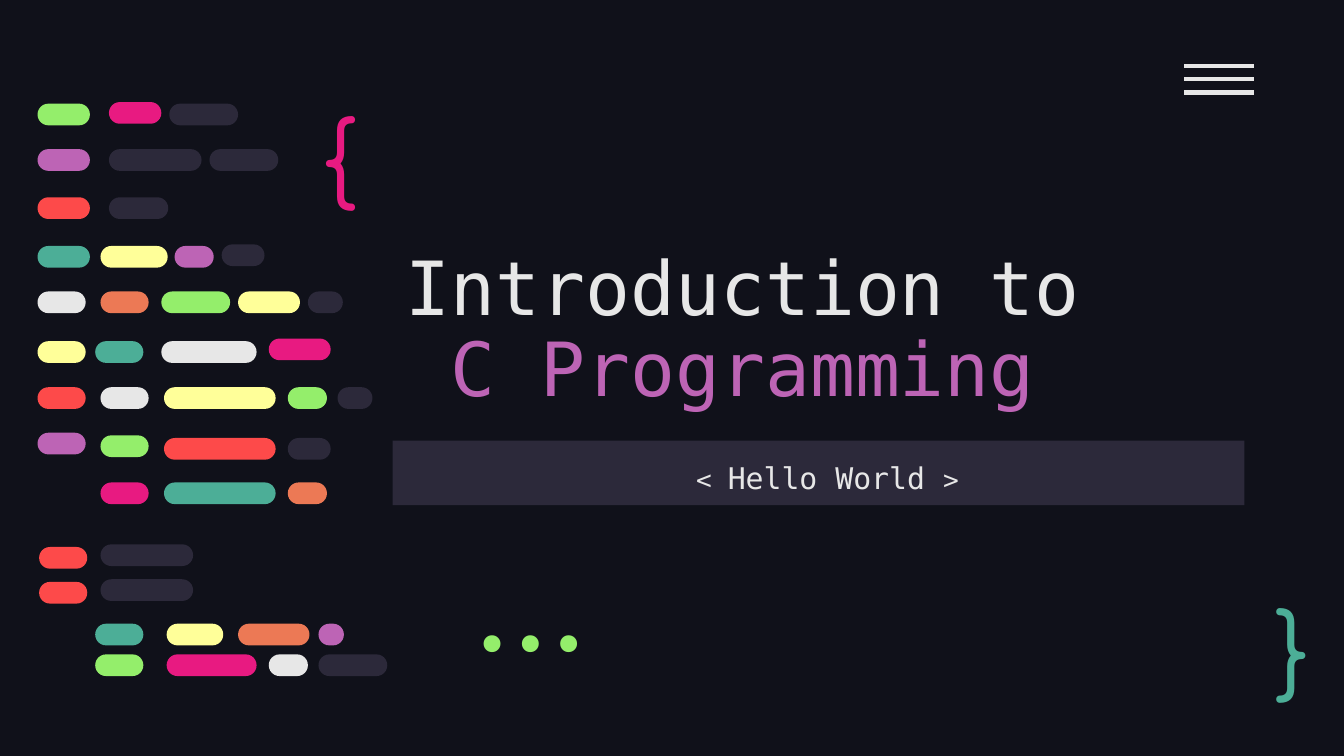
from typing import NamedTuple

from lxml.etree import SubElement
from pptx import Presentation
from pptx.dml.color import RGBColor
from pptx.enum.shapes import MSO_CONNECTOR as Connector, MSO_SHAPE as Preset
from pptx.enum.text import MSO_ANCHOR as Anchor, PP_ALIGN as Align
from pptx.oxml.ns import qn
from pptx.util import Cm, Pt

BACKGROUND, DARK, WHITE = "10111A", "2C293A", "E7E7E7"
GREEN, PINK, PURPLE, RED = "94EE6B", "E81A81", "BD64B5", "FD4A4A"
TEAL, YELLOW, ORANGE = "4CAE97", "FFFF99", "EC7955"
MONO = "DejaVu Sans Mono"
BAR_HEIGHT = 0.41


class Bar(NamedTuple):
    left: float
    width: float
    color: str
    shift: float = 0  # vertical offset from its row


class Row(NamedTuple):
    top: float
    bars: list[Bar]


class Symbol(NamedTuple):
    text: str
    box: tuple[float, float, float, float]
    font: str
    color: str
    anchor: Anchor
    align: Align


# All positions and sizes are in centimetres
CODE_ROWS = [
    Row(1.96, [Bar(0.71, 0.99, GREEN), Bar(2.06, 0.99, PINK, -0.03), Bar(3.2, 1.3, DARK)]),
    Row(2.82, [Bar(0.71, 0.99, PURPLE), Bar(2.06, 1.75, DARK), Bar(3.96, 1.3, DARK)]),
    Row(3.73, [Bar(0.71, 0.99, RED), Bar(2.06, 1.12, DARK)]),
    Row(4.65, [Bar(0.71, 0.99, TEAL), Bar(1.9, 1.27, YELLOW), Bar(3.3, 0.74, PURPLE),
               Bar(4.19, 0.81, DARK, -0.03)]),
    Row(5.51, [Bar(0.71, 0.91, WHITE), Bar(1.9, 0.91, ORANGE), Bar(3.05, 1.3, GREEN),
               Bar(4.5, 1.17, YELLOW), Bar(5.82, 0.66, DARK)]),
    Row(6.45, [Bar(0.71, 0.91, YELLOW), Bar(1.8, 0.91, TEAL), Bar(3.05, 1.8, WHITE),
               Bar(5.08, 1.17, PINK, -0.05)]),
    Row(7.32, [Bar(0.71, 0.91, RED), Bar(1.9, 0.91, WHITE), Bar(3.1, 2.11, YELLOW),
               Bar(5.44, 0.74, GREEN), Bar(6.38, 0.66, DARK)]),
    Row(8.23, [Bar(0.71, 0.91, PURPLE, -0.05), Bar(1.9, 0.91, GREEN),
               Bar(3.1, 2.11, RED, 0.05), Bar(5.44, 0.81, DARK, 0.05)]),
    Row(9.12, [Bar(1.9, 0.91, PINK), Bar(3.1, 2.11, TEAL), Bar(5.44, 0.74, ORANGE)]),
    Row(10.34, [Bar(0.74, 0.91, RED), Bar(1.9, 1.75, DARK, -0.05)]),
    Row(11, [Bar(0.74, 0.91, RED), Bar(1.9, 1.75, DARK, -0.05)]),
    Row(11.79, [Bar(1.8, 0.91, TEAL), Bar(3.15, 1.07, YELLOW), Bar(4.5, 1.35, ORANGE),
                Bar(6.02, 0.48, PURPLE)]),
    Row(12.37, [Bar(1.8, 0.91, GREEN), Bar(3.15, 1.7, PINK), Bar(5.08, 0.74, WHITE),
                Bar(6.02, 1.3, DARK)]),
]

SYMBOLS = [
    Symbol("{", (5.82, 1.57, 1.96, 2.41), "Comfortaa", PINK, Anchor.TOP, Align.LEFT),
    Symbol("}", (23.85, 11.13, 1.45, 2.11), "Comfortaa", TEAL, Anchor.MIDDLE, Align.LEFT),
    Symbol("...", (7.9, 11.4, 4.01, 1.52), "Fira Code", GREEN, Anchor.BOTTOM, Align.RIGHT),
]


def rgb(color: str) -> RGBColor:
    return RGBColor.from_string(color)


def add_filled(shapes, preset: Preset, box: tuple, color: str):
    shape = shapes.add_shape(preset, *map(Cm, box))
    shape.shadow.inherit = False
    shape.fill.solid()
    shape.fill.fore_color.rgb = rgb(color)
    shape.line.fill.background()
    return shape


def prepare_frame(shape, anchor: Anchor):
    frame = shape.text_frame
    frame.word_wrap = True
    frame.vertical_anchor = anchor
    frame.margin_left = frame.margin_right = Cm(0.25)
    frame.margin_top = frame.margin_bottom = Cm(0.25)
    return frame


def style_paragraph(paragraph, font: str, size: float, color: str, align: Align,
                    spacing: float = 1.0) -> None:
    paragraph.alignment = align
    paragraph.line_spacing = spacing
    paragraph.font.name = font
    paragraph.font.size = Pt(size)
    paragraph.font.color.rgb = rgb(color)


def add_title(slide) -> None:
    box = slide.shapes.add_textbox(Cm(7.42), Cm(4.65), Cm(16.1), Cm(3.4))
    frame = prepare_frame(box, Anchor.BOTTOM)
    frame.text = "Introduction to\n C Programming"
    for paragraph, color in zip(frame.paragraphs, (WHITE, PURPLE)):
        style_paragraph(paragraph, MONO, 40, color, Align.LEFT, 0.9)


def add_subtitle(slide) -> None:
    banner = add_filled(slide.shapes, Preset.RECTANGLE, (7.42, 8.33, 16.1, 1.22), DARK)
    paragraph = prepare_frame(banner, Anchor.TOP).paragraphs[0]
    style_paragraph(paragraph, MONO, 16, WHITE, Align.CENTER, 1.15)
    for text, size in ((" ", 16), ("< ", 14), ("Hello World ", 16), (">", 14)):
        run = paragraph.add_run()
        run.text = text
        run.font.size = Pt(size)


def add_symbol(slide, symbol: Symbol) -> None:
    box = slide.shapes.add_textbox(*map(Cm, symbol.box))
    frame = prepare_frame(box, symbol.anchor)
    frame.text = symbol.text
    style_paragraph(frame.paragraphs[0], symbol.font, 50, symbol.color, symbol.align)


def add_menu_icon(slide) -> None:
    group = slide.shapes.add_group_shape()
    for index in range(3):
        y = Cm(1.24 + 0.255 * index)
        line = group.shapes.add_connector(Connector.STRAIGHT, Cm(22.38), y, Cm(23.7), y)
        line.line.color.rgb = rgb(WHITE)
        line.line.width = Pt(2.25)
        SubElement(line._element.spPr, qn("a:effectLst"))


def add_code_bars(slide, rows: list[Row]) -> None:
    group = slide.shapes.add_group_shape()
    for row in rows:
        for bar in row.bars:
            box = (bar.left, row.top + bar.shift, bar.width, BAR_HEIGHT)
            shape = add_filled(group.shapes, Preset.ROUNDED_RECTANGLE, box, bar.color)
            shape.adjustments[0] = 0.5


def main() -> None:
    presentation = Presentation()
    presentation.slide_width, presentation.slide_height = Cm(25.4), Cm(14.29)
    slide = presentation.slides.add_slide(presentation.slide_layouts[6])
    slide.background.fill.solid()
    slide.background.fill.fore_color.rgb = rgb(BACKGROUND)

    # Headline
    add_title(slide)
    add_subtitle(slide)

    # Decoration
    for symbol in SYMBOLS:
        add_symbol(slide, symbol)
    add_menu_icon(slide)
    add_code_bars(slide, CODE_ROWS)

    presentation.save("out.pptx")


if __name__ == "__main__":
    main()
